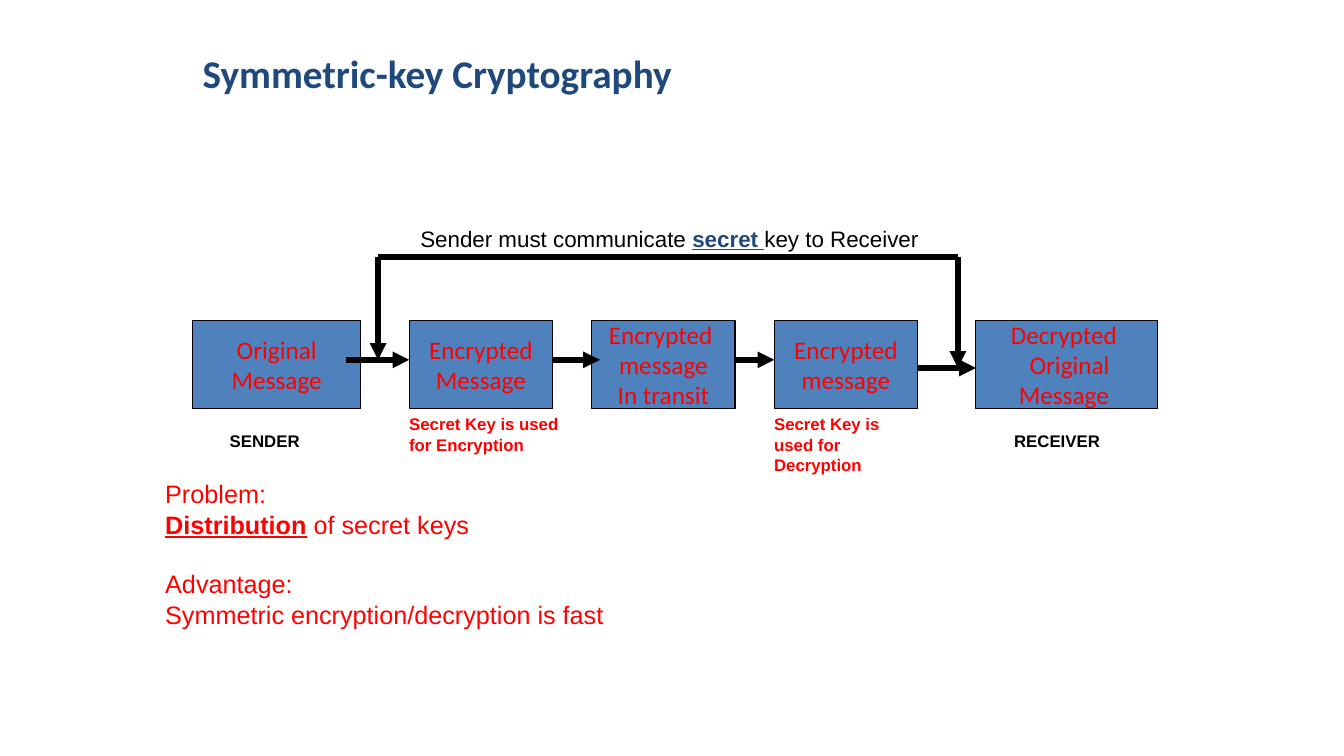
import pptx
import pptx.dml.color
import pptx.enum.shapes
import pptx.enum.text
import pptx.oxml
import pptx.oxml.ns
import pptx.util

PX = 9144  # EMU per px, 100 px to the inch
BLACK, RED, NAVY, BLUE = "000000", "FF0000", "1F497D", "4F81BD"
ALIGN = pptx.enum.text.PP_ALIGN
ANCHOR = pptx.enum.text.MSO_ANCHOR

BOX_TOP, BOX_HEIGHT = 318, 87
STAGES = [  # left, width, lines
    (191, 167, ["Original Message"]),
    (406, 142, ["Encrypted", "Message"]),
    (587, 142, ["Encrypted ", "message", "In transit"]),
    (768, 142, ["Encrypted", "message"]),
    (968, 180, ["Decrypted ", " Original Message "]),
]
KEY_LEFT, KEY_RIGHT, KEY_TOP = 375, 950, 255
FLOW_Y, DELIVERY_Y = 357, 365
ARROWS = [  # x1, y1, x2, y2
    (343, FLOW_Y, 406, FLOW_Y),
    (548, FLOW_Y, 595, FLOW_Y),
    (729, FLOW_Y, 768, FLOW_Y),
    (910, DELIVERY_Y, 968, DELIVERY_Y),
    (KEY_LEFT, KEY_TOP, KEY_LEFT, FLOW_Y),
    (KEY_RIGHT, KEY_TOP, KEY_RIGHT, DELIVERY_Y),
]
LABELS = [  # left, top, width, height, text, colour
    (218, 422, 129, 30, "SENDER", BLACK),
    (396, 406, 168, 71, "Secret Key is used for Encryption", RED),
    (758, 406, 160, 71, "Secret Key is used for Decryption", RED),
    (996, 422, 152, 30, "RECEIVER", BLACK),
]


def px(*lengths):
    return [pptx.util.Emu(length * PX) for length in lengths]


def rgb(value):
    return pptx.dml.color.RGBColor.from_string(value)


def write(frame, paragraphs, color, align=ALIGN.LEFT, **font):
    """Fill a frame; each paragraph is a list of (text, font values) spans."""
    frame.word_wrap = True
    for index, spans in enumerate(paragraphs):
        para = frame.add_paragraph() if index else frame.paragraphs[0]
        para.alignment = align
        for text, extra in spans:
            span = para.add_run()
            span.text = text
            values = {**font, **extra}
            span.font.color.rgb = rgb(values.pop("color", color))
            for name, value in values.items():
                setattr(span.font, name, value)


def add_title(page, text):
    title = page.shapes.title
    title.left, title.top, title.width, title.height = px(191, 44, 491, 57)
    title.text_frame.vertical_anchor = ANCHOR.TOP
    write(title.text_frame, [[(text, {})]], NAVY,
          name="Calibri", size=pptx.util.Pt(28), bold=True)


def add_stage(page, left, width, lines):
    box = page.shapes.add_shape(pptx.enum.shapes.MSO_SHAPE.RECTANGLE,
                                *px(left, BOX_TOP, width, BOX_HEIGHT))
    box.shadow.inherit = False
    box.fill.solid()
    box.fill.fore_color.rgb = rgb(BLUE)
    box.line.color.rgb = rgb(BLACK)
    box.line.width = pptx.util.Pt(0.75)
    box.text_frame.vertical_anchor = ANCHOR.MIDDLE
    write(box.text_frame, [[(line, {})] for line in lines], RED,
          ALIGN.CENTER, name="Calibri", size=pptx.util.Pt(18))


def add_line(page, x1, y1, x2, y2, arrow=True):
    line = page.shapes.add_connector(
        pptx.enum.shapes.MSO_CONNECTOR.STRAIGHT, *px(x1, y1, x2, y2))
    line.line.color.rgb = rgb(BLACK)
    line.line.width = pptx.util.Pt(4)
    if arrow:
        pptx.oxml.ns.qn("a:tailEnd")
        head = pptx.oxml.parse_xml(
            f'<a:tailEnd {pptx.oxml.ns.nsdecls("a")} type="triangle"/>')
        line.line._get_or_add_ln().append(head)
    line._element.spPr.append(pptx.oxml.parse_xml(
        f'<a:effectLst {pptx.oxml.ns.nsdecls("a")}/>'))


def add_text(page, place, paragraphs, color, size, **font):
    box = page.shapes.add_textbox(*px(*place))
    write(box.text_frame, paragraphs, color,
          name="Arial", size=pptx.util.Pt(size), **font)
    return box


def main():
    deck = pptx.Presentation()
    deck.slide_width, deck.slide_height = px(1333, 750)
    page = deck.slides.add_slide(deck.slide_layouts[5])

    add_title(page, "Symmetric-key Cryptography")
    for stage in STAGES:
        add_stage(page, *stage)
    for arrow in ARROWS:
        add_line(page, *arrow)
    add_line(page, KEY_LEFT, KEY_TOP, KEY_RIGHT, KEY_TOP, arrow=False)

    add_text(page, (407, 218, 521, 37), [[
        ("Sender must communicate ", {}),
        ("secret ", {"color": NAVY, "bold": True, "underline": True}),
        ("key to Receiver", {}),
    ]], BLACK, 16)
    for *place, text, color in LABELS:
        add_text(page, place, [[(text, {})]], color, 12, bold=True)

    notes = add_text(page, (154, 470, 459, 222), [
        [("Problem:", {})],
        [("Distribution", {"bold": True, "underline": True}),
         (" of secret keys", {})],
        [("Advantage:", {})],
        [("Symmetric encryption/decryption is fast", {})],
    ], RED, 18)
    notes.text_frame.paragraphs[2].space_before = pptx.util.Pt(21)

    deck.save("out.pptx")


if __name__ == "__main__":
    main()
